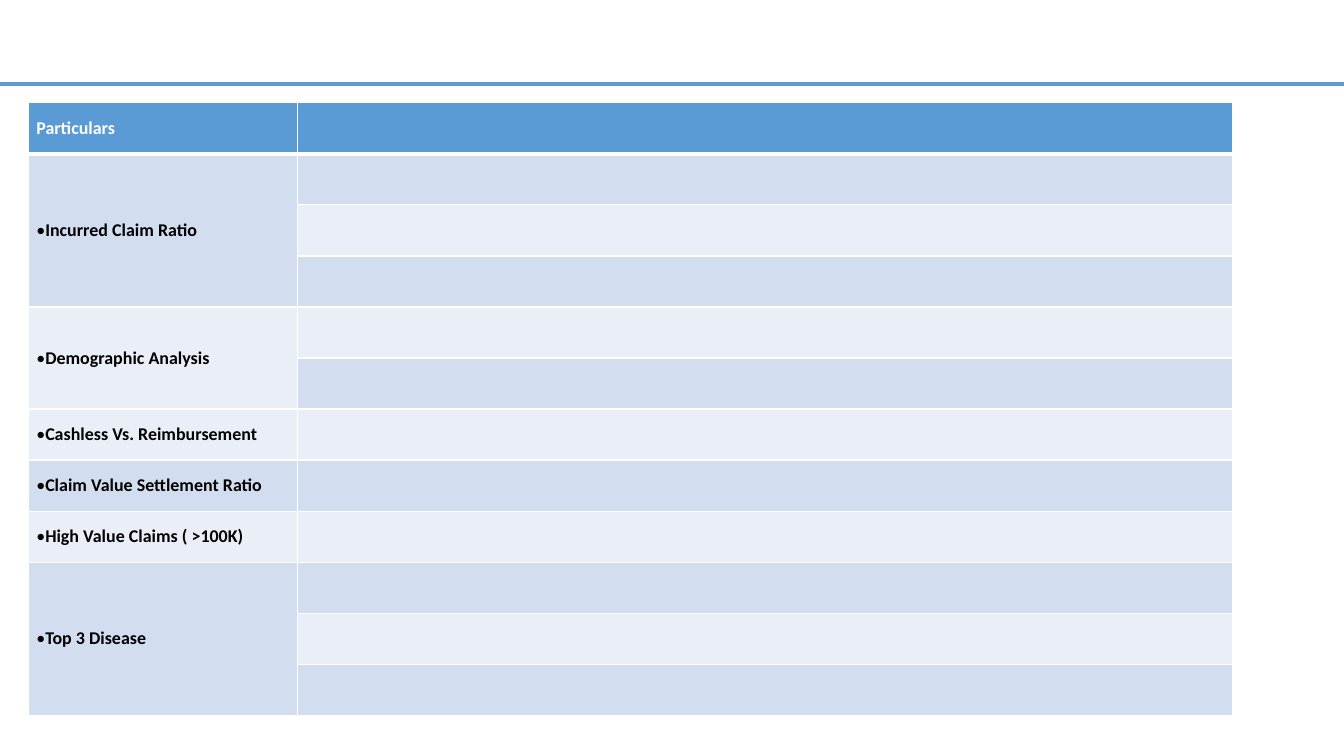
from dataclasses import dataclass

from lxml import etree
from pptx import Presentation
from pptx.dml.color import RGBColor
from pptx.enum.shapes import MSO_CONNECTOR
from pptx.enum.text import MSO_ANCHOR
from pptx.oxml.ns import qn
from pptx.util import Inches, Pt

STRAIGHT = MSO_CONNECTOR.STRAIGHT
MIDDLE = MSO_ANCHOR.MIDDLE

COLORS = {
    "accent": "5B9BD5",
    "dark_band": "D2DEEF",
    "light_band": "EAEFF7",
    "white": "FFFFFF",
    "black": "000000",
}
FONT = "Calibri"
TEXT_SIZE = 12.8
COLUMN_WIDTHS = (2.67, 9.28)
TABLE_HEIGHT = 6.08


@dataclass
class Particular:
    label: str
    rows: int = 1


PARTICULARS = [
    Particular("Incurred Claim Ratio", 3),
    Particular("Demographic Analysis", 2),
    Particular("Cashless Vs. Reimbursement"),
    Particular("Claim Value Settlement Ratio"),
    Particular("High Value Claims ( >100K)"),
    Particular("Top 3 Disease", 3),
]


def rgb(name: str) -> RGBColor:
    return RGBColor.from_string(COLORS[name])


def add_rule(s, y: float, width: float) -> None:
    line = s.shapes.add_connector(
        STRAIGHT, Inches(0), Inches(y), Inches(width), Inches(y)
    )
    line.line.color.rgb = rgb("accent")
    line.line.width = Pt(3)
    etree.SubElement(line._element.spPr, qn("a:effectLst"))


def set_borders(cell, bottom: float, top: float) -> None:
    tc_pr = cell._tc.get_or_add_tcPr()
    widths = {"lnL": 1, "lnR": 1, "lnT": top, "lnB": bottom}
    for i, (side, width) in enumerate(widths.items()):
        ln = etree.Element(qn(f"a:{side}"), w=str(Pt(width)))
        fill = etree.SubElement(ln, qn("a:solidFill"))
        etree.SubElement(fill, qn("a:srgbClr"), val=COLORS["white"])
        tc_pr.insert(i, ln)


def style_cell(cell, row: int) -> None:
    if row == 0:
        color = "accent"
    else:
        color = "dark_band" if row % 2 else "light_band"
    cell.fill.solid()
    cell.fill.fore_color.rgb = rgb(color)
    set_borders(cell, bottom=3 if row == 0 else 1, top=3 if row == 1 else 1)


def write_label(cell, text: str, color: str, bullet: bool = False) -> None:
    cell.vertical_anchor = MIDDLE
    cell.margin_left = Inches(0.08)
    cell.margin_top = cell.margin_right = cell.margin_bottom = 0
    p = cell.text_frame.paragraphs[0]
    p.text = "•" if bullet else text
    if bullet:
        p.add_run().text = text
    for r in p.runs:
        r.font.name = FONT
        r.font.size = Pt(TEXT_SIZE)
        r.font.bold = r.text != "•"
        r.font.color.rgb = rgb(color)


def add_particulars_table(s) -> None:
    row_count = 1 + sum(item.rows for item in PARTICULARS)
    table = s.shapes.add_table(
        row_count, len(COLUMN_WIDTHS), Inches(0.28), Inches(1.02),
        Inches(sum(COLUMN_WIDTHS)), Inches(TABLE_HEIGHT),
    ).table
    for column, width in zip(table.columns, COLUMN_WIDTHS):
        column.width = Inches(width)
    for i, row in enumerate(table.rows):
        row.height = Inches(TABLE_HEIGHT / row_count)
        for cell in row.cells:
            style_cell(cell, i)

    write_label(table.cell(0, 0), "Particulars", "white")
    first = 1
    for item in PARTICULARS:
        cell = table.cell(first, 0)
        if item.rows > 1:
            cell.merge(table.cell(first + item.rows - 1, 0))
        write_label(cell, item.label, "black", bullet=True)
        first += item.rows


def main() -> None:
    prs = Presentation()
    prs.slide_width = Inches(13.33)
    prs.slide_height = Inches(7.5)
    s = prs.slides.add_slide(prs.slide_layouts[6])
    add_rule(s, 0.83, 13.33)
    add_particulars_table(s)
    prs.save("out.pptx")


if __name__ == "__main__":
    main()
